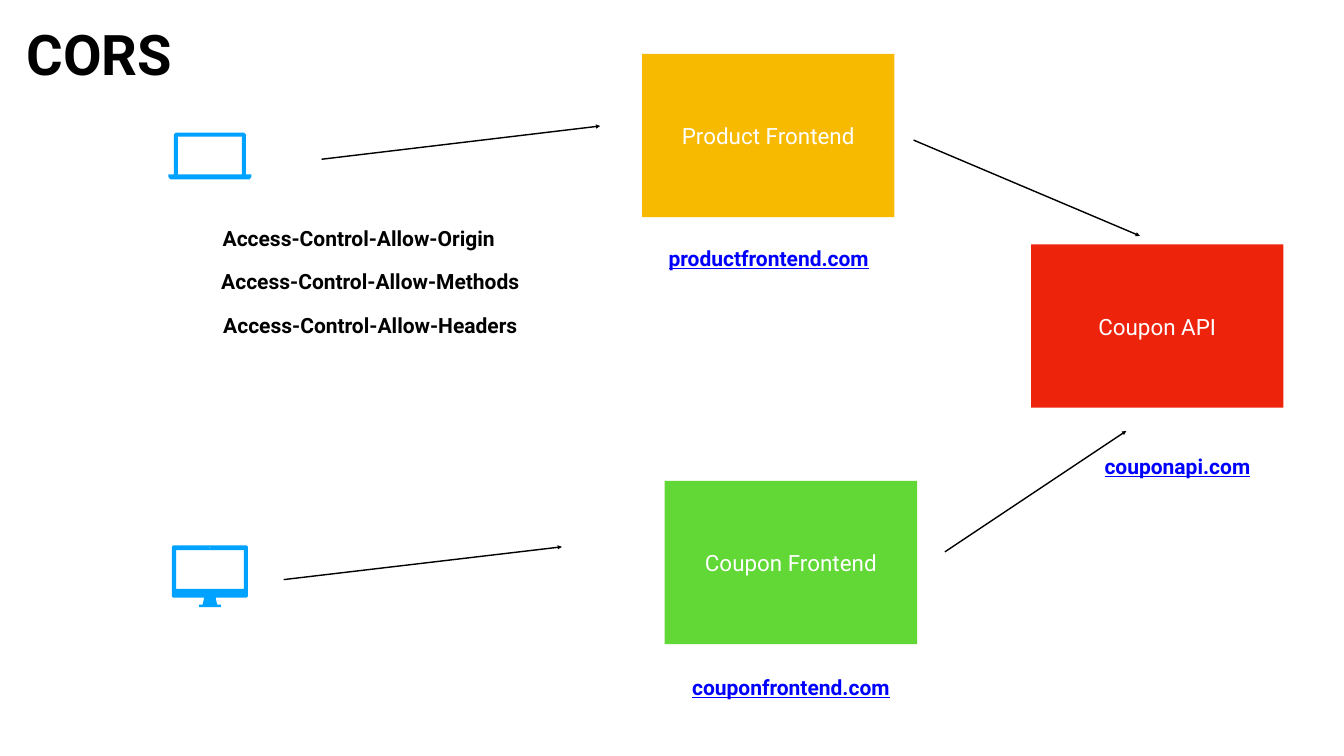
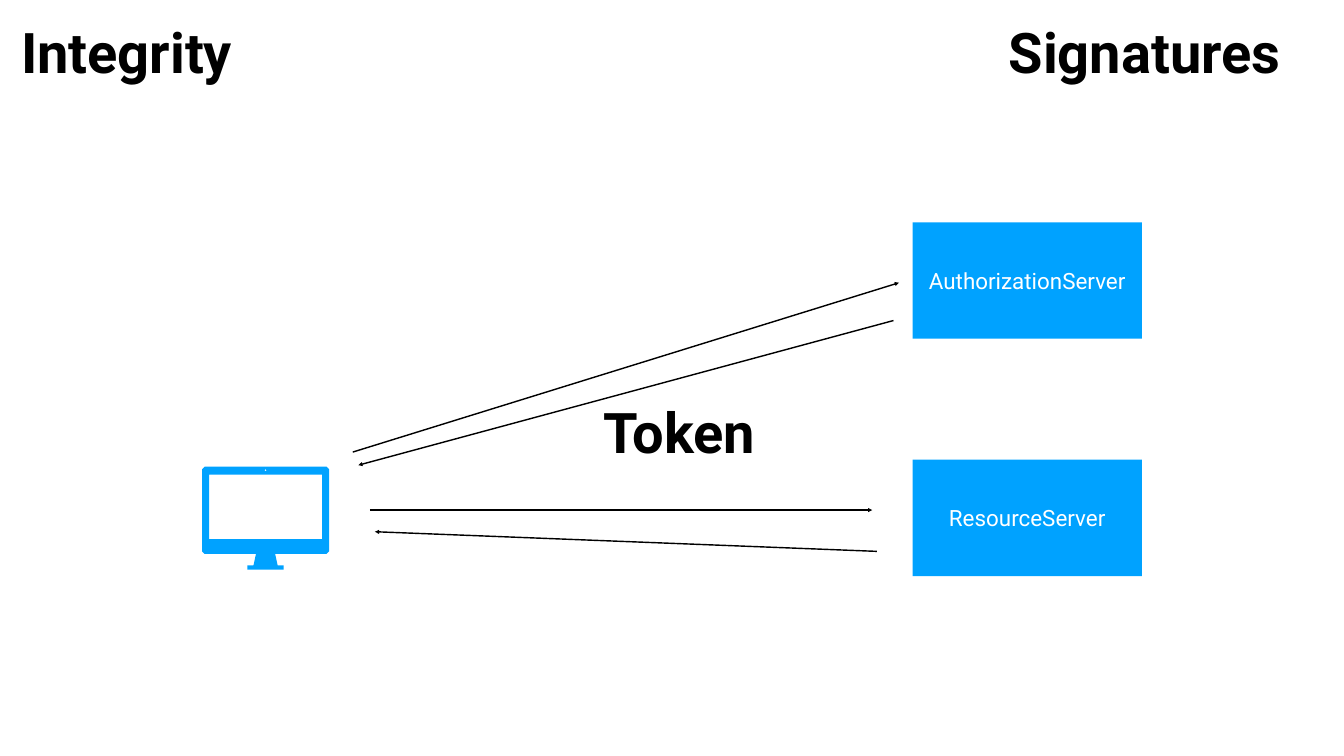
"""Build two diagram slides: CORS between frontends and an API, and token integrity."""
from lxml import etree
from pptx import Presentation
from pptx.dml.color import RGBColor
from pptx.enum.shapes import MSO_CONNECTOR, MSO_SHAPE
from pptx.enum.text import MSO_ANCHOR, MSO_AUTO_SIZE, PP_ALIGN
from pptx.oxml.ns import qn
from pptx.util import Inches, Pt

RECTANGLE = MSO_SHAPE.RECTANGLE
STRAIGHT = MSO_CONNECTOR.STRAIGHT
MIDDLE = MSO_ANCHOR.MIDDLE
CENTER = PP_ALIGN.CENTER
FIT_NONE, FIT_SHAPE = MSO_AUTO_SIZE.NONE, MSO_AUTO_SIZE.SHAPE_TO_FIT_TEXT

BLACK = RGBColor(0x00, 0x00, 0x00)
WHITE = RGBColor(0xFF, 0xFF, 0xFF)
BLUE = RGBColor(0x00, 0xA2, 0xFF)
RED = RGBColor(0xEE, 0x23, 0x0C)
GREEN = RGBColor(0x61, 0xD8, 0x36)
YELLOW = RGBColor(0xF7, 0xBA, 0x01)
LINK_BLUE = RGBColor(0x00, 0x00, 0xFF)

FONT = "Roboto"
TITLE_ONLY = 5
HEADING_SIZE, BOX_SIZE, LABEL_SIZE = 80, 32, 30
HEADING_HEIGHT, LABEL_HEIGHT = 1.43, 0.61
HEADER_TOP, HEADER_STEP = 4.42, 0.86
FRONTEND_SIZE = (5.01, 3.24)
SERVER_SIZE = (4.55, 2.31)

# Icon contours, in hundredths of an inch at scale 1
MONITOR = [
    [(5, 0), (247, 0), (252, 5), (252, 168), (247, 173), (145, 173), (150, 196),
     (162, 196), (162, 204), (90, 204), (90, 196), (102, 196), (107, 173),
     (5, 173), (0, 168), (0, 5)],
    [(126, 5), (128, 7), (126, 9), (124, 7)],
    [(14, 16), (238, 16), (238, 144), (14, 144)],
]
LAPTOP = [
    [(15, 0), (150, 0), (154, 4), (154, 83), (165, 83), (165, 88), (161, 93),
     (4, 93), (0, 88), (0, 83), (11, 83), (11, 4)],
    [(19, 8), (146, 8), (146, 83), (19, 83)],
]

HEADERS = [
    ("Access-Control-Allow-Origin", 4.19, 5.86),
    ("Access-Control-Allow-Methods", 4.15, 6.4),
    ("Access-Control-Allow-Headers", 4.19, 6.32),
]

SLIDES = [
    {
        "title": ("CORS", 0.3, 0.34, 3.34),
        "headings": [],
        "box_size": FRONTEND_SIZE,
        "boxes": [
            ("Coupon API", 20.46, 4.85, RED),
            ("Coupon Frontend", 13.19, 9.54, GREEN),
            ("Product Frontend", 12.74, 1.07, YELLOW),
        ],
        "icons": [(MONITOR, 3.41, 10.82, 0.6), (LAPTOP, 3.34, 2.63, 1)],
        "arrows": [
            ((5.63, 11.5), (11.15, 10.85)),
            ((18.13, 2.78), (22.62, 4.68)),
            ((6.38, 3.16), (11.91, 2.5)),
            ((18.75, 10.95), (22.35, 8.55)),
        ],
        "addresses": [
            ("productfrontend.com", 13.08, 4.82, 4.35),
            ("couponfrontend.com", 13.55, 13.32, 4.29),
            ("couponapi.com", 21.76, 8.94, 3.21),
        ],
        "headers": HEADERS,
    },
    {
        "title": ("Integrity", 0.26, 0.3, 4.51),
        "headings": [("Signatures", 19.81, 0.3, 5.81), ("Token", 11.84, 7.83, 3.29)],
        "box_size": SERVER_SIZE,
        "boxes": [
            ("ResourceServer", 18.11, 9.12, BLUE),
            ("AuthorizationServer", 18.11, 4.41, BLUE),
        ],
        "icons": [(MONITOR, 4.01, 9.26, 1)],
        "arrows": [
            ((17.73, 6.36), (7.11, 9.23)),
            ((7, 8.97), (17.84, 5.61)),
            ((17.4, 10.94), (7.44, 10.55)),
            ((7.34, 10.12), (17.31, 10.12)),
        ],
        "addresses": [],
        "headers": [],
    },
]


def write_text(shape, text, size, color=BLACK, bold=True, underline=False,
               inset=0.06, fit=FIT_SHAPE):
    frame = shape.text_frame
    frame.word_wrap = False
    frame.auto_size = fit
    frame.vertical_anchor = MIDDLE
    frame.margin_left = frame.margin_right = Inches(inset)
    frame.margin_top = frame.margin_bottom = Inches(inset)
    paragraph = frame.paragraphs[0]
    paragraph.alignment = CENTER
    run = paragraph.add_run()
    run.text = text
    run.font.name = FONT
    run.font.size = Pt(size)
    run.font.bold = bold
    run.font.underline = underline
    run.font.color.rgb = color


def add_title(slide, text, left, top, width):
    title = slide.shapes.title
    title.left, title.top = Inches(left), Inches(top)
    title.width, title.height = Inches(width), Inches(HEADING_HEIGHT)
    write_text(title, text, HEADING_SIZE)


def add_label(slide, text, left, top, width, height=LABEL_HEIGHT, size=LABEL_SIZE,
              **text_format):
    label = slide.shapes.add_textbox(
        Inches(left), Inches(top), Inches(width), Inches(height))
    write_text(label, text, size, **text_format)


def paint(shape, color):
    shape.shadow.inherit = False
    shape.fill.solid()
    shape.fill.fore_color.rgb = color
    shape.line.fill.background()


def add_box(slide, text, left, top, color, size):
    width, height = size
    box = slide.shapes.add_shape(
        RECTANGLE, Inches(left), Inches(top), Inches(width), Inches(height))
    paint(box, color)
    write_text(box, text, BOX_SIZE, color=WHITE, bold=False, inset=0, fit=FIT_NONE)


def add_icon(slide, contours, left, top, scale):
    builder = slide.shapes.build_freeform(*contours[0][0], scale=Inches(0.01) * scale)
    for index, contour in enumerate(contours):
        if index:
            builder.move_to(*contour[0])
        builder.add_line_segments(contour[1:], close=True)
    paint(builder.convert_to_shape(Inches(left), Inches(top)), BLUE)


def add_arrow(slide, start, end):
    arrow = slide.shapes.add_connector(
        STRAIGHT, *(Inches(length) for length in start + end))
    arrow.line.color.rgb = BLACK
    arrow.line.width = Pt(2)
    properties = arrow.element.spPr
    etree.SubElement(properties.find(qn("a:ln")), qn("a:tailEnd"), type="triangle")
    etree.SubElement(properties, qn("a:effectLst"))


def build_slide(presentation, content):
    slide = presentation.slides.add_slide(presentation.slide_layouts[TITLE_ONLY])
    add_title(slide, *content["title"])
    for box in content["boxes"]:
        add_box(slide, *box, size=content["box_size"])
    for icon in content["icons"]:
        add_icon(slide, *icon)
    for start, end in content["arrows"]:
        add_arrow(slide, start, end)
    for address in content["addresses"]:
        add_label(slide, *address, color=LINK_BLUE, underline=True)
    for row, (text, left, width) in enumerate(content["headers"]):
        add_label(slide, text, left, HEADER_TOP + row * HEADER_STEP, width)
    for heading in content["headings"]:
        add_label(slide, *heading, height=HEADING_HEIGHT, size=HEADING_SIZE)


def main():
    presentation = Presentation()
    presentation.slide_width = Inches(26.67)
    presentation.slide_height = Inches(15)
    for content in SLIDES:
        build_slide(presentation, content)
    presentation.save("out.pptx")


if __name__ == "__main__":
    main()
